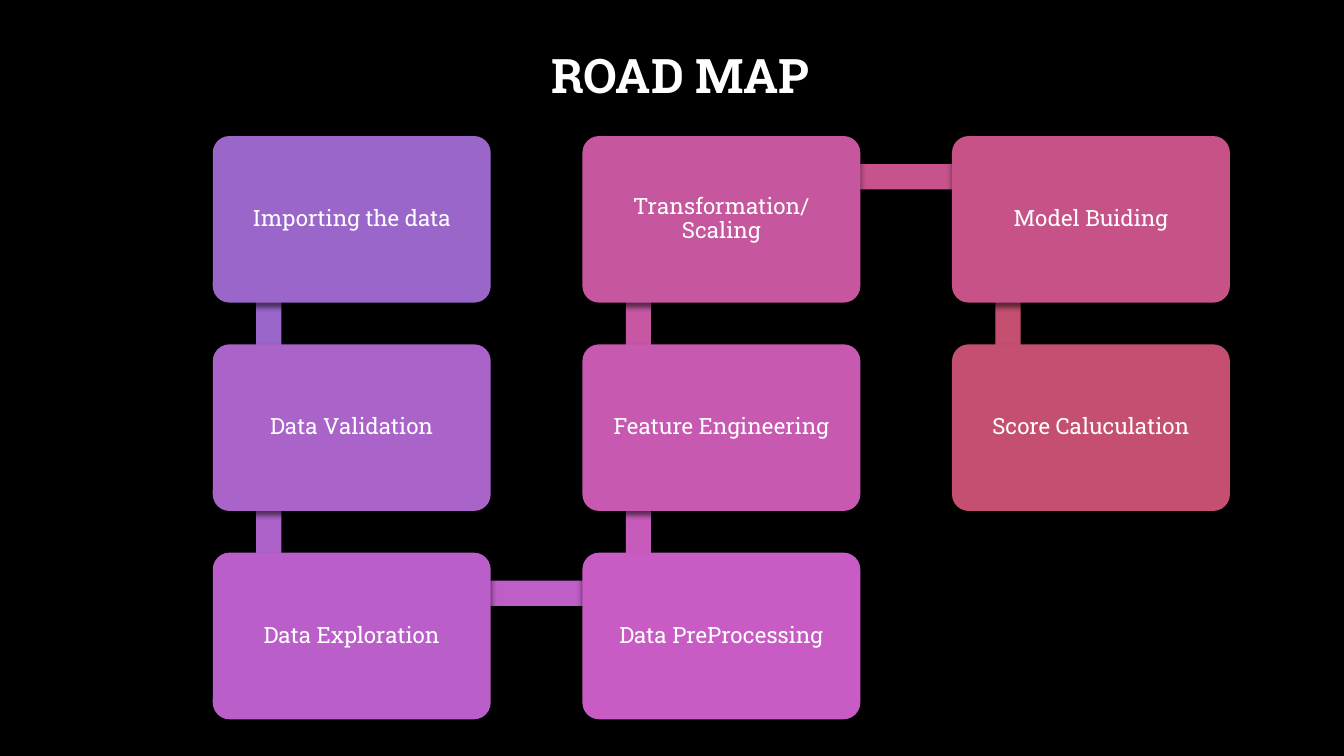
import itertools
import pptx
import pptx.util
import pptx.dml.color
import pptx.enum.shapes
import pptx.enum.text
import pptx.oxml
import pptx.oxml.ns

Pt = pptx.util.Pt
RGBColor = pptx.dml.color.RGBColor
SHAPE = pptx.enum.shapes.MSO_SHAPE

BLACK = RGBColor(0x00, 0x00, 0x00)
WHITE = RGBColor(0xFF, 0xFF, 0xFF)
FONT = "Roboto Slab"

HEADING = "ROAD MAP"
STEPS = [
    ("Importing the data", 0, 0, RGBColor(0x9A, 0x66, 0xCA)),
    ("Data Validation", 0, 1, RGBColor(0xAA, 0x63, 0xC9)),
    ("Data Exploration", 0, 2, RGBColor(0xBA, 0x5F, 0xC9)),
    ("Data PreProcessing", 1, 2, RGBColor(0xC8, 0x5C, 0xC4)),
    ("Feature Engineering", 1, 1, RGBColor(0xC7, 0x59, 0xB1)),
    ("Transformation/Scaling", 1, 0, RGBColor(0xC6, 0x56, 0x9D)),
    ("Model Buiding", 2, 0, RGBColor(0xC6, 0x52, 0x87)),
    ("Score Caluculation", 2, 1, RGBColor(0xC5, 0x4F, 0x71)),
]
LINK_COLORS = [
    RGBColor(0x9A, 0x66, 0xCA),
    RGBColor(0xAC, 0x62, 0xC9),
    RGBColor(0xC0, 0x5E, 0xC8),
    RGBColor(0xC7, 0x5B, 0xBB),
    RGBColor(0xC7, 0x57, 0xA3),
    RGBColor(0xC6, 0x53, 0x8B),
    RGBColor(0xC5, 0x4F, 0x71),
]

GRID_LEFT, GRID_TOP = 152, 97.2
COLUMN_STEP, ROW_STEP = 264, 148.8
CARD_WIDTH, CARD_HEIGHT = 198.5, 119
LINK_X, LINK_Y = 40, 29
LINK_THICKNESS = 18

SHADOW = (
    f'<a:effectLst {pptx.oxml.ns.nsdecls("a")}>'
    f'<a:outerShdw blurRad="{Pt(4)}" dist="{Pt(3)}" dir="5400000" rotWithShape="0">'
    '<a:srgbClr val="000000"><a:alpha val="54000"/></a:srgbClr>'
    "</a:outerShdw></a:effectLst>"
)


def write(frame, text, size, bold=False, inset=5):
    frame.word_wrap = True
    frame.auto_size = pptx.enum.text.MSO_AUTO_SIZE.NONE
    frame.vertical_anchor = pptx.enum.text.MSO_ANCHOR.MIDDLE
    frame.margin_left = frame.margin_right = Pt(inset)
    frame.margin_top = frame.margin_bottom = Pt(inset)
    paragraph = frame.paragraphs[0]
    paragraph.alignment = pptx.enum.text.PP_ALIGN.CENTER
    paragraph.line_spacing = 0.9
    run = paragraph.add_run()
    run.text = text
    run.font.name = FONT
    run.font.size = Pt(size)
    run.font.bold = bold
    run.font.color.rgb = WHITE


def add_block(slide, kind, left, top, width, height, color):
    block = slide.shapes.add_shape(kind, Pt(left), Pt(top), Pt(width), Pt(height))
    block.shadow.inherit = False
    block.fill.solid()
    block.fill.fore_color.rgb = color
    block.line.fill.background()
    return block


def card_corner(column, row):
    return GRID_LEFT + column * COLUMN_STEP, GRID_TOP + row * ROW_STEP


def add_link(slide, start, end, color):
    xs = sorted((start[0], end[0]))
    ys = sorted((start[1], end[1]))
    width, height = xs[1] - xs[0], ys[1] - ys[0]
    half = LINK_THICKNESS / 2
    if width > height:
        place = (xs[0], ys[0] - half, width, LINK_THICKNESS)
    else:
        place = (xs[0] - half, ys[0], LINK_THICKNESS, height)
    add_block(slide, SHAPE.RECTANGLE, *place, color)


def add_card(slide, label, column, row, color):
    card = add_block(slide, SHAPE.ROUNDED_RECTANGLE, *card_corner(column, row),
                     CARD_WIDTH, CARD_HEIGHT, color)
    card.adjustments[0] = 0.1
    properties = card.element.spPr
    properties.remove(properties.find(pptx.oxml.ns.qn("a:effectLst")))
    properties.append(pptx.oxml.parse_xml(SHADOW))
    write(card.text_frame, label, size=16)


def main():
    deck = pptx.Presentation()
    deck.slide_width, deck.slide_height = Pt(960), Pt(540)
    slide = deck.slides.add_slide(deck.slide_layouts[5])
    slide.background.fill.solid()
    slide.background.fill.fore_color.rgb = BLACK

    heading = slide.shapes.title
    heading.left, heading.top = Pt(108), Pt(15)
    heading.width, heading.height = Pt(756), Pt(82)
    write(heading.text_frame, HEADING, size=34, bold=True)

    anchors = []
    for _, column, row, _ in STEPS:
        left, top = card_corner(column, row)
        anchors.append((left + LINK_X, top + LINK_Y))
    for (start, end), color in zip(itertools.pairwise(anchors), LINK_COLORS):
        add_link(slide, start, end, color)
    for step in STEPS:
        add_card(slide, *step)

    deck.save("out.pptx")


if __name__ == "__main__":
    main()
